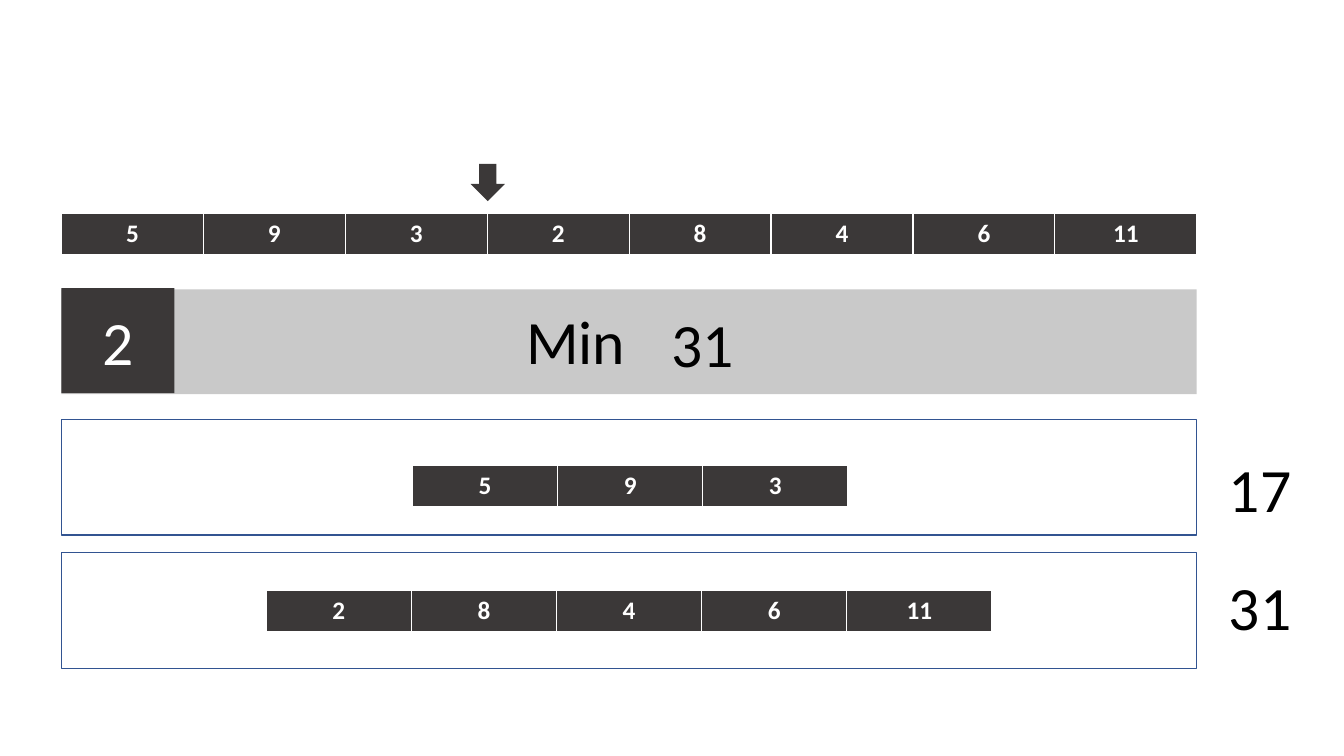
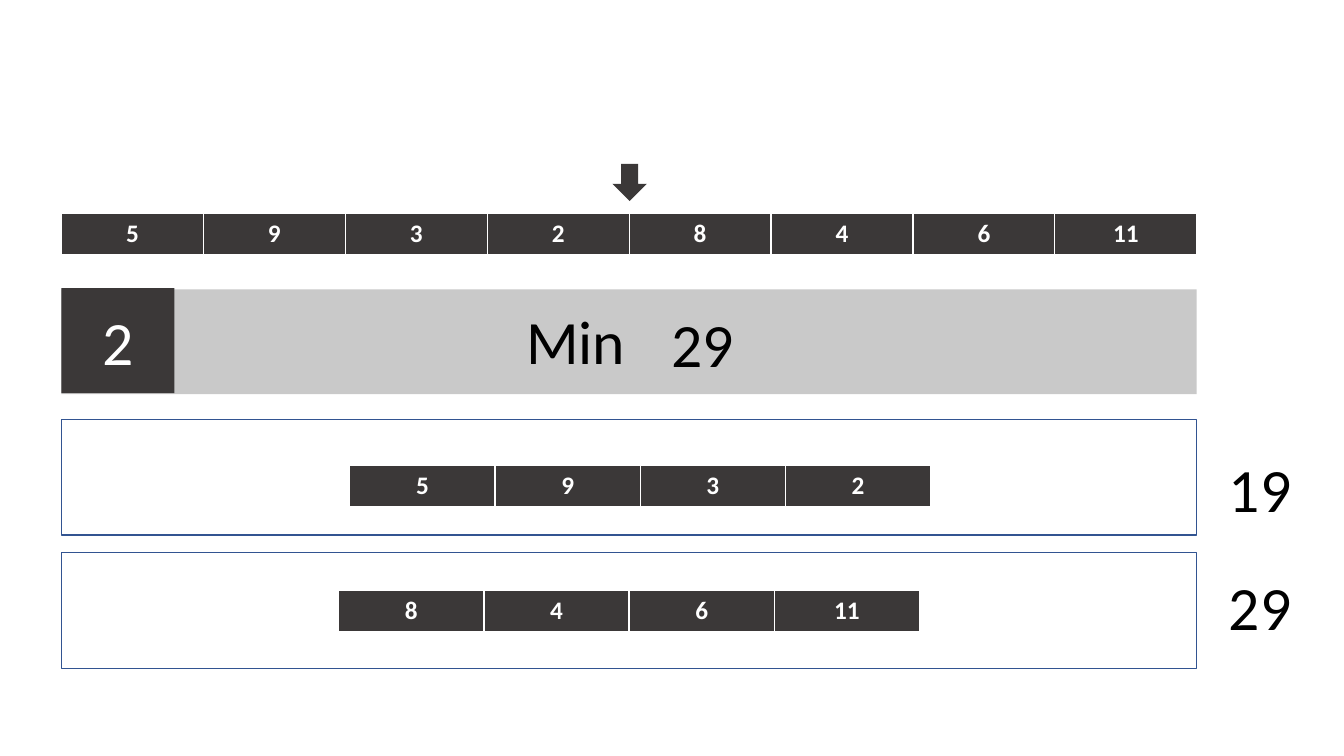
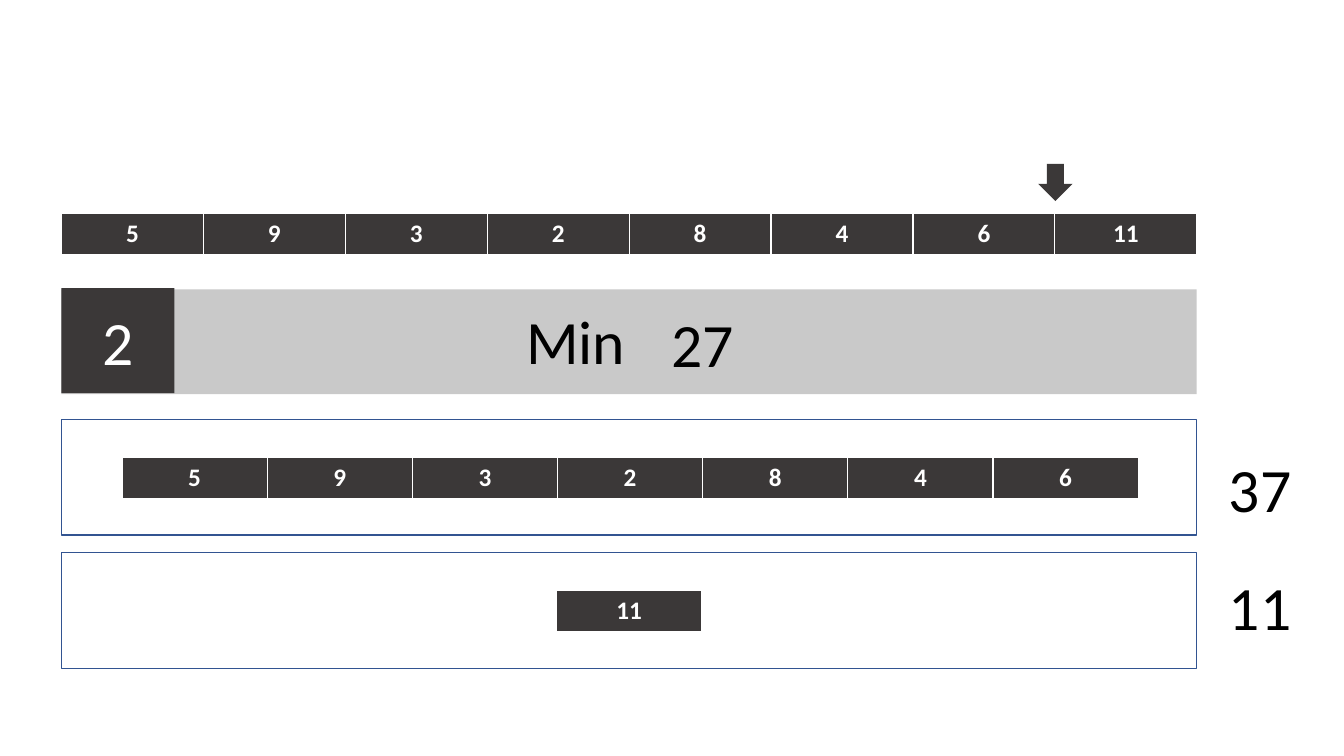
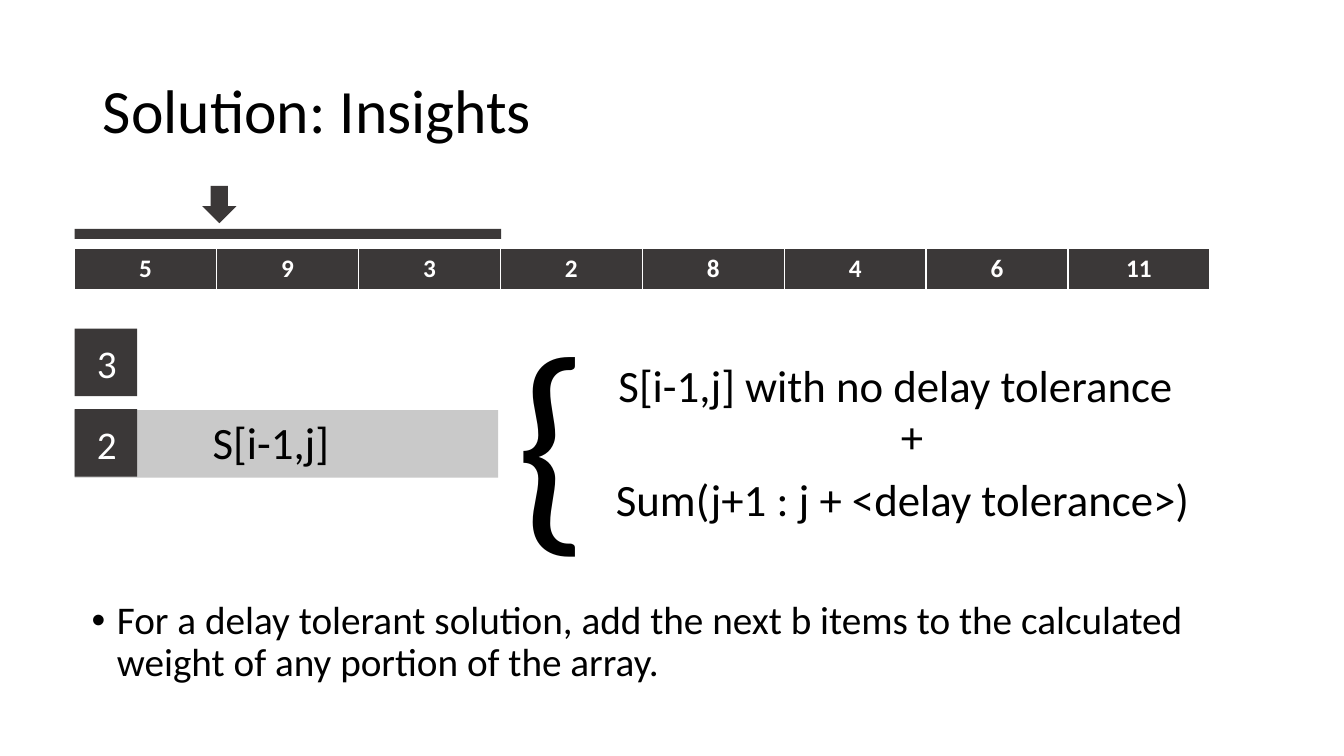
from pptx import Presentation
from pptx.dml.color import RGBColor
from pptx.enum.shapes import MSO_SHAPE as SHAPE
from pptx.enum.text import MSO_ANCHOR as ANCHOR, MSO_AUTO_SIZE as AUTO, PP_ALIGN as ALIGN
from pptx.util import Inches, Pt

DARK = RGBColor(0x3B, 0x38, 0x38)
GRAY = RGBColor(0xC9, 0xC9, 0xC9)
BLUE = RGBColor(0x32, 0x54, 0x91)
BLACK = RGBColor(0, 0, 0)
WHITE = RGBColor(255, 255, 255)
FONT = "Calibri"

WEIGHTS = [5, 9, 3, 2, 8, 4, 6, 11]
LEFT, WIDTH = 0.61, 11.26
CENTER = LEFT + WIDTH / 2
COLUMN = WIDTH / len(WEIGHTS)
PART_COLUMN = 1.44

prs = Presentation()
prs.slide_width, prs.slide_height = Inches(13.33), Inches(7.5)


def add_box(slide, left, top, width, height, fill=None, kind=SHAPE.RECTANGLE):
    """Filled box without outline, or a blue outline when no fill is given."""
    box = slide.shapes.add_shape(kind, Inches(left), Inches(top), Inches(width), Inches(height))
    box.shadow.inherit = False
    if fill is None:
        box.fill.background()
        box.line.color.rgb = BLUE
        box.line.width = Pt(1)
    else:
        box.fill.solid()
        box.fill.fore_color.rgb = fill
        box.line.fill.background()
    return box


def add_strip(slide, weights, left, top, column):
    """One-row table of array items."""
    table = slide.shapes.add_table(1, len(weights), Inches(left), Inches(top),
                                   Inches(column * len(weights)), Inches(0.41)).table
    for index, weight in enumerate(weights):
        table.columns[index].width = Inches(column)
        cell = table.cell(0, index)
        cell.fill.solid()
        cell.fill.fore_color.rgb = DARK
        cell.text = str(weight)
        item = cell.text_frame.paragraphs[0]
        item.alignment = ALIGN.CENTER
        item.font.name, item.font.size, item.font.bold = FONT, Pt(18), True
        item.font.color.rgb = WHITE


labels = []  # slide, text, left, top, width, height, size, colour, alignment

# Split steps: split position, best maximum, left and top of the first part
steps = [(3, 31, 4.09, 4.62), (4, 29, 3.47, 4.62), (7, 27, 1.21, 4.54)]
for split, best, first_left, first_top in steps:
    slide = prs.slides.add_slide(prs.slide_layouts[6])
    first, second = WEIGHTS[:split], WEIGHTS[split:]

    # Array with its split marker
    add_strip(slide, WEIGHTS, LEFT, 2.12, COLUMN)
    marker = add_box(slide, LEFT + split * COLUMN - 0.18, 1.64, 0.37, 0.34, DARK, SHAPE.RIGHT_ARROW)
    marker.rotation = 90

    # Minimum band
    add_box(slide, LEFT, 2.87, WIDTH, 1.04, GRAY)
    add_box(slide, LEFT, 2.86, 1.12, 1.04, DARK)

    # The two parts
    for panel_top in (4.16, 5.48):
        add_box(slide, LEFT, panel_top, WIDTH, 1.15)
    add_strip(slide, first, first_left, first_top, PART_COLUMN)
    add_strip(slide, second, CENTER - len(second) * PART_COLUMN / 2, 5.86, PART_COLUMN)

    labels += [
        (slide, "2", 0.71, 2.97, 0.93, 0.84, 44, WHITE, ALIGN.CENTER),
        (slide, "Min", 5.12, 2.96, 1.23, 0.84, 44, BLACK, ALIGN.LEFT),
        (slide, str(best), 6.56, 2.99, 0.93, 0.84, 44, BLACK, ALIGN.LEFT),
        (slide, str(sum(first)), 12.09, 4.42, 0.93, 0.84, 44, BLACK, ALIGN.LEFT),
        (slide, str(sum(second)), 12.09, 5.6, 0.93, 0.84, 44, BLACK, ALIGN.LEFT),
    ]

# Insights: title and bullet
slide = prs.slides.add_slide(prs.slide_layouts[1])
title, insight = slide.placeholders
for holder, text, left, top, height, size, anchor in [
    (title, "Solution: Insights", 0.92, 0.4, 1.45, 44, ANCHOR.MIDDLE),
    (insight, "For a delay tolerant solution, add the next b items to the calculated "
     "weight of any portion of the array.", 0.81, 5.91, 1.43, 28, ANCHOR.TOP),
]:
    holder.left, holder.top = Inches(left), Inches(top)
    holder.width, holder.height = Inches(11.5), Inches(height)
    frame = holder.text_frame
    frame.text = text
    frame.auto_size, frame.vertical_anchor = AUTO.NONE, anchor
    line = frame.paragraphs[0]
    line.alignment, line.line_spacing = ALIGN.LEFT, 0.9
    line.font.name, line.font.size = FONT, Pt(size)
    line.font.color.rgb = BLACK
bullet = insight.text_frame.paragraphs[0]
bullet.space_before = Pt(10)
indent = bullet._p.get_or_add_pPr()
indent.set("marL", str(Inches(0.25)))
indent.set("indent", str(Inches(-0.25)))

# Insights: array, covered range and marker
add_strip(slide, WEIGHTS, 0.74, 2.46, COLUMN)
add_box(slide, 0.74, 2.27, 4.23, 0.1, DARK)
add_box(slide, 1.99, 1.86, 0.37, 0.34, DARK, SHAPE.RIGHT_ARROW).rotation = 90

# Insights: partition rows and formula
add_box(slide, 0.74, 4.07, 4.2, 0.67, GRAY)
for count, row_top in (("3", 3.26), ("2", 4.06)):
    add_box(slide, 0.74, row_top, 0.62, 0.67, DARK)
    labels.append((slide, count, 0.81, row_top + 0.06, 0.5, 0.57, 28, WHITE, ALIGN.CENTER))
labels += [
    (slide, "S[i-1,j]", 2.01, 4.07, 1.47, 0.64, 32, BLACK, ALIGN.LEFT),
    (slide, "{", 5.01, 2.86, 0.58, 2.89, 166, BLACK, ALIGN.CENTER),
    (slide, "S[i-1,j] with no delay tolerance", 6.01, 3.5, 5.75, 0.64, 32, BLACK, ALIGN.CENTER),
    (slide, "+", 6.17, 4.01, 5.75, 0.64, 32, BLACK, ALIGN.CENTER),
    (slide, "Sum(j+1 : j + <delay tolerance>)", 6.01, 4.63, 5.91, 0.64, 32, BLACK, ALIGN.LEFT),
]

# Labels of all slides
for slide, text, left, top, width, height, size, color, alignment in labels:
    frame = slide.shapes.add_textbox(Inches(left), Inches(top), Inches(width), Inches(height)).text_frame
    frame.word_wrap, frame.auto_size = True, AUTO.SHAPE_TO_FIT_TEXT
    frame.text = text
    label = frame.paragraphs[0]
    label.alignment = alignment
    label.font.name, label.font.size = FONT, Pt(size)
    label.font.color.rgb = color

prs.save("out.pptx")
